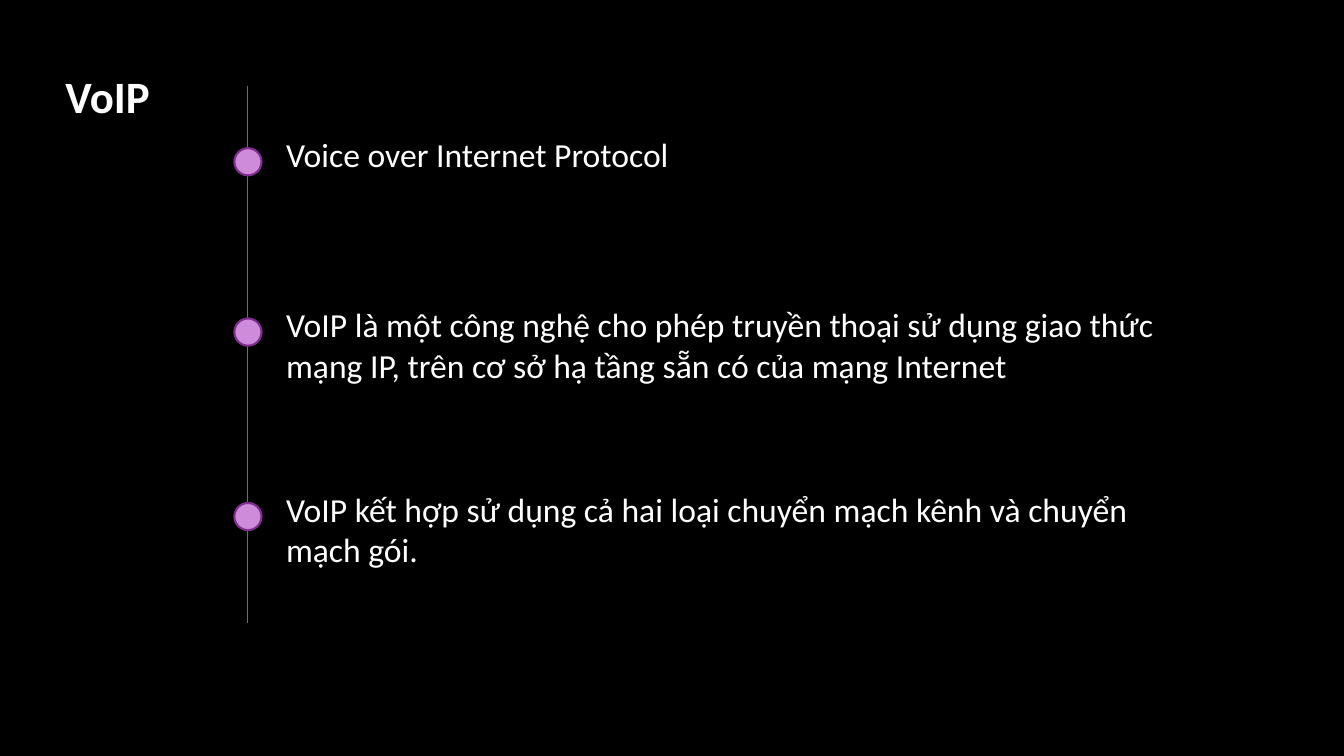
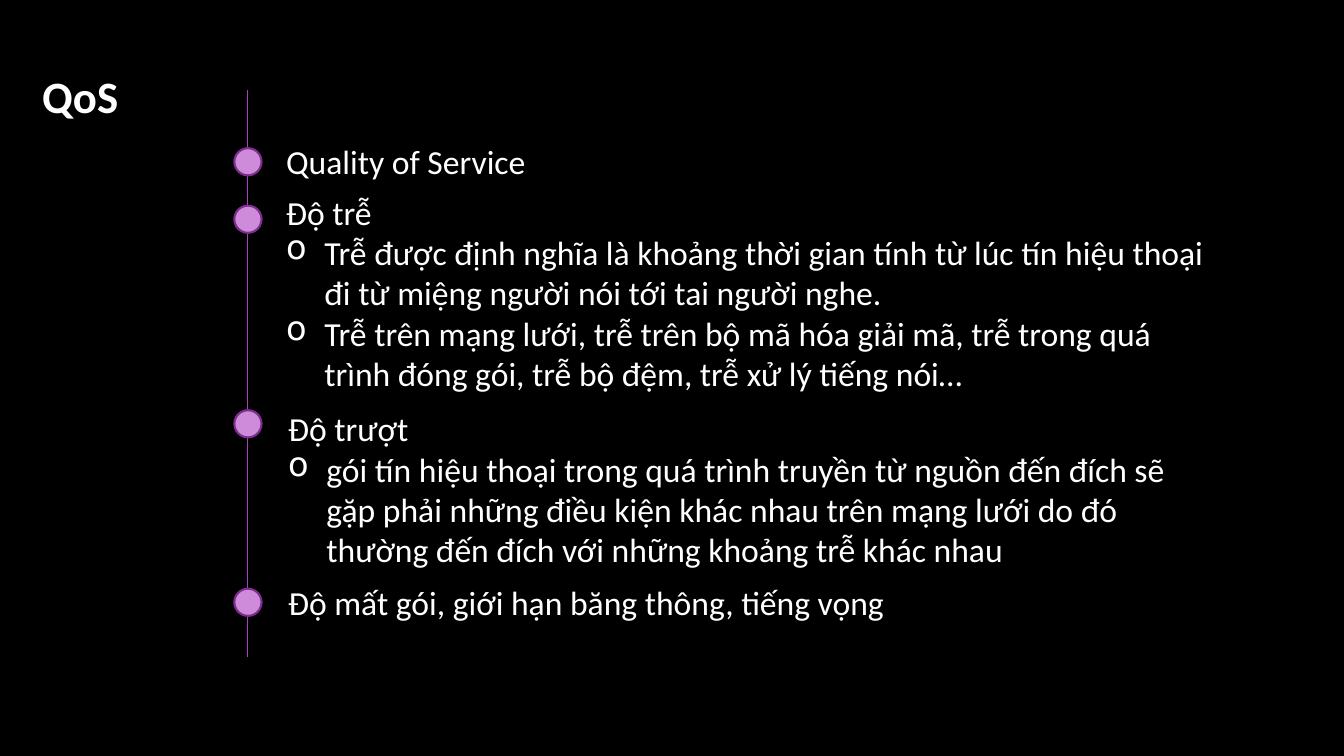
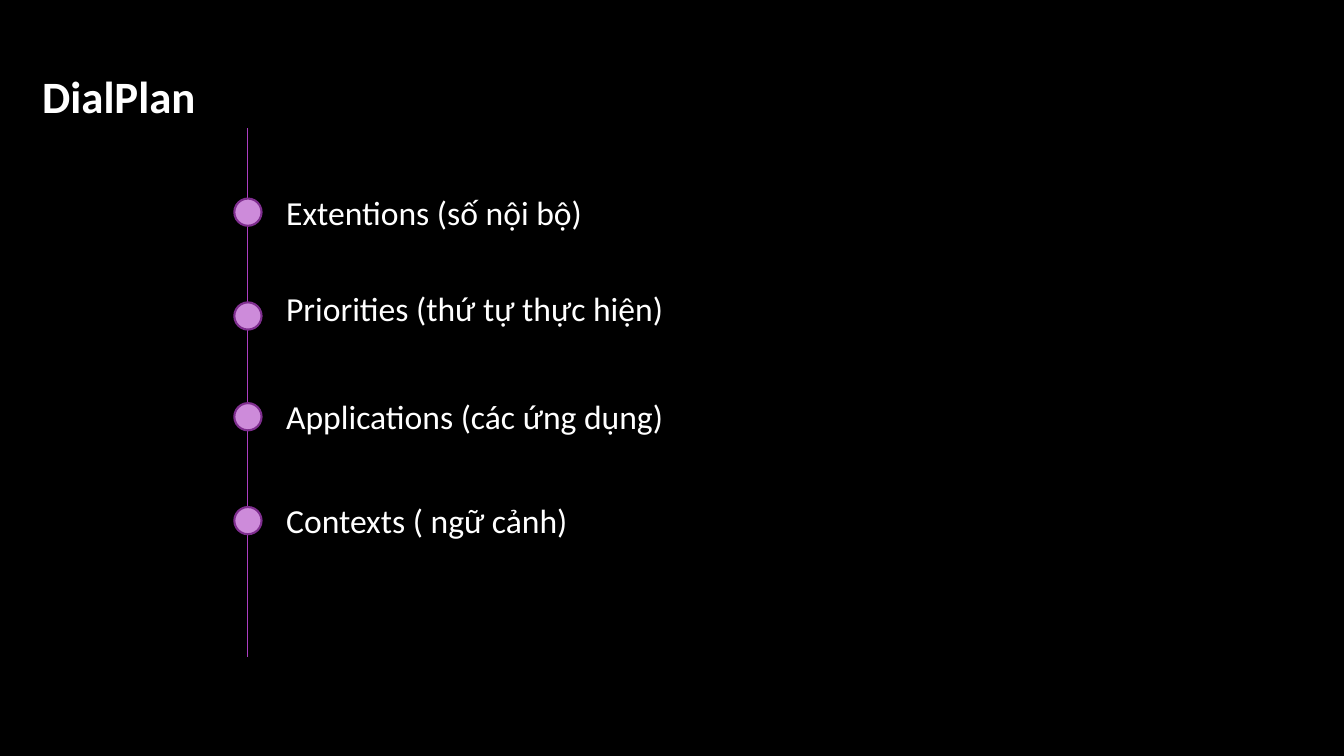
import pptx
import pptx.dml.color
import pptx.enum.shapes
import pptx.enum.text
import pptx.oxml.ns
import pptx.util
import lxml.etree

COLORS = {
    "background": "000000",
    "text": "FFFFFF",
    "line": "AC3EC1",
    "dot": "CD8BDA",
    "dot_edge": "7F2E8F",
}
LOOSE, ALIGNED, TIGHT = 4.33, 3.4, 2.73
WIDE, NARROW = 71.1, 66.75


class Timeline:
    font = "Calibri"
    title_size = 32
    body_size = 24
    axis = 18.45
    text_left = 20.55
    dot_size = pptx.util.Inches(0.27)
    indent = pptx.util.Inches(0.38)

    def __init__(self):
        self.deck = pptx.Presentation()
        self.deck.slide_width = pptx.util.Inches(13.33)
        self.deck.slide_height = pptx.util.Inches(7.5)
        self.page = None

    def x(self, share):
        return round(self.deck.slide_width * share / 100)

    def y(self, share):
        return round(self.deck.slide_height * share / 100)

    def color(self, name):
        return pptx.dml.color.RGBColor.from_string(COLORS[name])

    def add_page(self):
        self.page = self.deck.slides.add_slide(self.deck.slide_layouts[6])
        fill = self.page.background.fill
        fill.solid()
        fill.fore_color.rgb = self.color("background")

    def add_text(self, left, top, width, height, lines, size, bold=False):
        box = self.page.shapes.add_textbox(
            self.x(left), self.y(top), self.x(width), self.y(height))
        frame = box.text_frame
        frame.text = "\n".join(lines)
        frame.word_wrap = True
        frame.auto_size = pptx.enum.text.MSO_AUTO_SIZE.SHAPE_TO_FIT_TEXT
        for para in frame.paragraphs:
            for span in para.runs:
                span.font.name = self.font
                span.font.size = pptx.util.Pt(size)
                span.font.bold = bold
                span.font.color.rgb = self.color("text")
        for para in frame.paragraphs[1:]:
            self.add_bullet(para)

    def add_bullet(self, para):
        props = para._p.get_or_add_pPr()
        props.set("marL", str(self.indent))
        props.set("indent", str(-self.indent))
        bullet = lxml.etree.SubElement(props, pptx.oxml.ns.qn("a:buChar"))
        bullet.set("char", "o")

    def add_title(self, text, left):
        self.add_text(left, 8.4, 15, 8.53, [text], self.title_size, True)

    def add_axis(self, top, bottom):
        line = self.page.shapes.add_connector(
            pptx.enum.shapes.MSO_CONNECTOR.STRAIGHT,
            self.x(self.axis), self.y(top), self.x(self.axis), self.y(bottom))
        line.line.color.rgb = self.color("line")
        line.line.width = pptx.util.Pt(0.75)
        lxml.etree.SubElement(
            line._element.spPr, pptx.oxml.ns.qn("a:effectLst"))

    def add_dot(self, middle):
        radius = self.dot_size // 2
        dot = self.page.shapes.add_shape(
            pptx.enum.shapes.MSO_SHAPE.OVAL,
            self.x(self.axis) - radius, self.y(middle) - radius,
            self.dot_size, self.dot_size)
        dot.shadow.inherit = False
        dot.fill.solid()
        dot.fill.fore_color.rgb = self.color("dot")
        dot.line.color.rgb = self.color("dot_edge")
        dot.line.width = pptx.util.Pt(1.5)

    def add_item(self, top, drop, width, rows, lines, shift=0):
        self.add_dot(top + drop)
        self.add_text(self.text_left + shift, top, width, 1.33 + 5.39 * rows,
                      lines, self.body_size)

    def add_timeline(self, title, title_left, top, bottom, items):
        self.add_page()
        self.add_title(title, title_left)
        self.add_axis(top, bottom)
        for item in items:
            self.add_item(*item)


def main():
    timeline = Timeline()
    timeline.add_timeline("VoIP", 4.13, 11.33, 82.4, [
        (17.07, LOOSE, WIDE, 1, ["Voice over Internet Protocol"]),
        (39.6, LOOSE, WIDE, 2, [
            "VoIP là một công nghệ cho phép truyền thoại sử dụng giao thức "
            "mạng IP, trên cơ sở hạ tầng sẵn có của mạng Internet"]),
        (64, LOOSE, NARROW, 2, [
            "VoIP kết hợp sử dụng cả hai loại chuyển mạch kênh và chuyển "
            "mạch gói."]),
    ])
    timeline.add_timeline("QoS", 2.4, 11.87, 86.93, [
        (18, ALIGNED, WIDE, 1, ["Quality of Service"]),
        (24.67, LOOSE, WIDE, 5, [
            "Độ trễ",
            "Trễ được định nghĩa là khoảng thời gian tính từ lúc tín hiệu "
            "thoại đi từ miệng người nói tới tai người nghe.",
            "Trễ trên mạng lưới, trễ trên bộ mã hóa giải mã, trễ trong quá "
            "trình đóng gói, trễ bộ đệm, trễ xử lý tiếng nói…"]),
        (53.33, TIGHT, NARROW, 4, [
            "Độ trượt",
            "gói tín hiệu thoại trong quá trình truyền từ nguồn đến đích sẽ "
            "gặp phải những điều kiện khác nhau trên mạng lưới do đó thường "
            "đến đích với những khoảng trễ khác nhau"], 0.15),
        (76.27, ALIGNED, NARROW, 1,
         ["Độ mất gói, giới hạn băng thông, tiếng vọng"], 0.15),
    ])
    timeline.add_timeline("DialPlan", 2.4, 16.93, 86.93, [
        (24.67, ALIGNED, WIDE, 1, ["Extentions (số nội bộ)"]),
        (37.47, LOOSE, WIDE, 1, ["Priorities (thứ tự thực hiện)"]),
        (51.73, ALIGNED, WIDE, 1, ["Applications (các ứng dụng)"]),
        (65.47, ALIGNED, WIDE, 1, ["Contexts ( ngữ cảnh)"]),
    ])
    timeline.deck.save("out.pptx")


if __name__ == "__main__":
    main()
